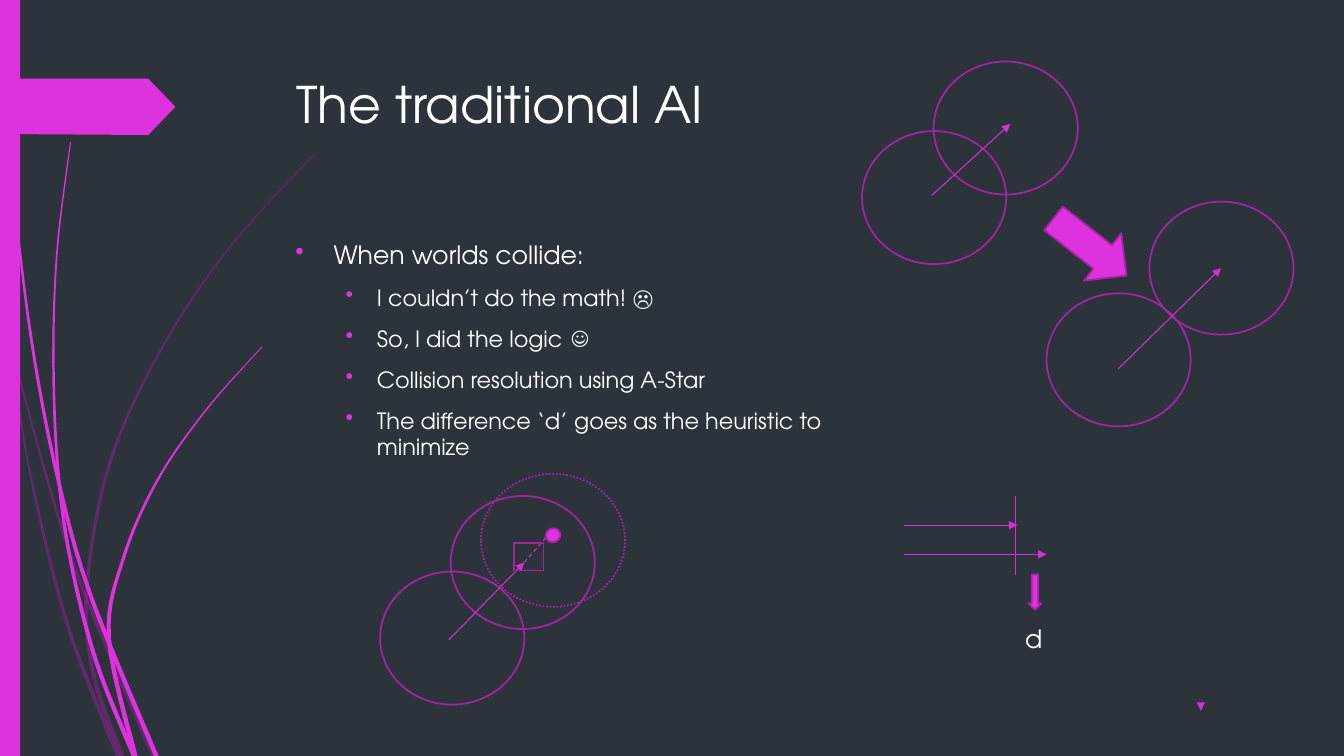
from lxml import etree
from pptx import Presentation
from pptx.dml.color import RGBColor
from pptx.enum.dml import MSO_LINE
from pptx.enum.shapes import MSO_CONNECTOR, MSO_SHAPE
from pptx.oxml.ns import qn
from pptx.util import Inches, Pt

OVAL = MSO_SHAPE.OVAL
RECTANGLE = MSO_SHAPE.RECTANGLE
RIGHT_ARROW = MSO_SHAPE.RIGHT_ARROW
DOWN_ARROW = MSO_SHAPE.DOWN_ARROW
STRAIGHT = MSO_CONNECTOR.STRAIGHT
DOTTED = MSO_LINE.ROUND_DOT
DASHED = MSO_LINE.DASH

SLATE = RGBColor(0x2C, 0x33, 0x3A)
MAGENTA = RGBColor(0xDE, 0x32, 0xDE)
PURPLE = RGBColor(0xB0, 0x1C, 0xB0)
OUTLINE = RGBColor(0xA4, 0x25, 0xA4)
CONNECTOR = RGBColor(0xD4, 0x30, 0xD4)
WHITE = RGBColor(0xFF, 0xFF, 0xFF)
FONT = "TeX Gyre Adventor"
CIRCLE_SIZE = (1.43, 1.32)
CURVE_STEPS = 8

FADED_WISPS = [
    [(0.02, 2.9), (0.23, 3.88), (0.6, 5.2), (0.9, 6.04), (1.52, 7.5)],
    [(0.11, 3.5), (0.3, 4.7), (0.67, 6.2), (1.17, 7.5)],
    [(3.12, 1.53), (2.28, 2.45), (1.59, 3.48), (1.08, 4.62), (0.86, 5.85), (0.93, 6.7), (1.21, 7.5)],
]
BRIGHT_WISPS = [
    [(0.03, 0), (0.07, 1.1), (0.18, 2.33), (0.34, 3.55), (0.58, 4.77), (0.9, 5.91), (1.55, 7.5)],
    [(0.7, 1.41), (0.57, 2.45), (0.53, 3.49), (0.57, 4.6), (0.7, 5.56), (0.96, 6.58), (1.33, 7.5)],
    [(2.6, 3.44), (2.05, 4.06), (1.57, 4.75), (1.23, 5.52), (1.08, 6.32), (1.34, 7.5)],
]
TAG_POINTS = [(0, 0.78), (1.47, 0.78), (1.74, 1.06), (1.47, 1.34), (0, 1.33)]
BULLETS = [(0, "When worlds collide:"), (1, "I couldn’t do the math! ☹"), (1, "So, I did the logic ☺"),
           (1, "Collision resolution using A-Star"),
           (1, "The difference ‘d’ goes as the heuristic to \nminimize")]
LEVELS = [(18, 0.38, -0.38), (16, 0.81, -0.31)]


def smooth_value(before, start, end, after, t):
    """Interpolate smoothly between start and end."""
    return start + t / 2 * (end - before + t * (2 * before - 5 * start + 4 * end - after
                                                + t * (3 * (start - end) + after - before)))


def wisp_points(knots):
    """Return the outline of a ribbon that widens along its knots."""
    padded = [knots[0], *knots, knots[-1]]
    center = [tuple(smooth_value(*values, step / CURVE_STEPS) for values in zip(*padded[first:first + 4]))
              for first in range(len(knots) - 1) for step in range(CURVE_STEPS)]
    center.append(knots[-1])
    half_widths = [0.005 + 0.02 * index / len(center) for index in range(len(center))]
    left_edge = [(x - half, y) for (x, y), half in zip(center, half_widths)]
    right_edge = [(x + half, y) for (x, y), half in zip(center, half_widths)]
    return left_edge + right_edge[::-1]


def add_outline(shapes, left, top, points, color):
    """Add a filled freeform through points relative to left and top."""
    places = [(Inches(left + x), Inches(top + y)) for x, y in points]
    builder = shapes.build_freeform(*places[0], scale=1.0)
    builder.add_line_segments(places[1:], close=True)
    shape = builder.convert_to_shape()
    shape.shadow.inherit = False
    shape.fill.solid()
    shape.fill.fore_color.rgb = color
    shape.line.fill.background()
    return shape


def add_wisps(slide, left, top, wisps, color, opacity=100):
    """Group a set of curved wisps."""
    group = slide.shapes.add_group_shape()
    for knots in wisps:
        shape = add_outline(group.shapes, left, top, wisp_points(knots), color)
        fill_color = shape._element.spPr.find(qn("a:solidFill"))[0]
        etree.SubElement(fill_color, qn("a:alpha")).set("val", str(opacity * 1000))


def add_figure(slide, kind, left, top, size, fill=None, line=OUTLINE, dash=None, rotation=0):
    """Add a preset shape with an optional fill and outline."""
    shape = slide.shapes.add_shape(kind, *map(Inches, (left, top, *size)))
    shape.shadow.inherit = False
    shape.rotation = rotation
    if fill is None:
        shape.fill.background()
    else:
        shape.fill.solid()
        shape.fill.fore_color.rgb = fill
    if line is None:
        shape.line.fill.background()
    else:
        shape.line.color.rgb = line
        shape.line.width = Pt(1.25)
        shape.line.dash_style = dash


def add_line(slide, left, top, begin, end, arrow=True, dash=None):
    """Draw a thin line between two points relative to left and top."""
    connector = slide.shapes.add_connector(STRAIGHT, Inches(left + begin[0]), Inches(top + begin[1]),
                                           Inches(left + end[0]), Inches(top + end[1]))
    connector.line.color.rgb = CONNECTOR
    connector.line.width = Pt(0.75)
    connector.line.dash_style = dash
    properties = connector._element.spPr
    if arrow:
        etree.SubElement(properties.find(qn("a:ln")), qn("a:tailEnd")).set("type", "triangle")
    etree.SubElement(properties, qn("a:effectLst"))


def add_text(slide, left, top, width, height, lines, levels, bulleted=False):
    """Add a text box of leveled lines, bulleted if asked."""
    frame = slide.shapes.add_textbox(*map(Inches, (left, top, width, height))).text_frame
    frame.word_wrap = True
    for index, (level, text) in enumerate(lines):
        paragraph = frame.add_paragraph() if index else frame.paragraphs[0]
        size, margin, indent = levels[level]
        if bulleted:
            paragraph.level = level
            paragraph.space_before = Pt(10)
            properties = paragraph._p.get_or_add_pPr()
            properties.set("marL", str(Inches(margin)))
            properties.set("indent", str(Inches(indent)))
            bullet_color = etree.SubElement(properties, qn("a:buClr"))
            etree.SubElement(bullet_color, qn("a:srgbClr")).set("val", str(MAGENTA))
            etree.SubElement(properties, qn("a:buChar")).set("char", "•")
        for part_index, part in enumerate(text.split("\n")):
            if part_index:
                paragraph.add_line_break()
            run = paragraph.add_run()
            run.text = part
            run.font.name = FONT
            run.font.size = Pt(size)
            run.font.color.rgb = WHITE


def add_side_decoration(slide, left, top):
    """Draw the wisps, the side bar and the page tag."""
    add_wisps(slide, left, top, FADED_WISPS, PURPLE, 40)
    add_wisps(slide, left, top, BRIGHT_WISPS, MAGENTA)
    add_figure(slide, RECTANGLE, left, top, (0.2, 7.5), MAGENTA, None)
    add_outline(slide.shapes, left, top, TAG_POINTS, MAGENTA)


def add_collision(slide, left, top, lower_drop, upper_shift, begin, end):
    """Draw two circles and the arrow between their centres."""
    add_figure(slide, OVAL, left, top + lower_drop, CIRCLE_SIZE)
    add_figure(slide, OVAL, left + upper_shift, top, CIRCLE_SIZE)
    add_line(slide, left, top, begin, end)


def add_search_step(slide, left, top):
    """Draw a collision with its next candidate position."""
    add_collision(slide, left, top, 0.75, 0.7, (0.68, 1.43), (1.43, 0.66))
    add_figure(slide, OVAL, left + 1, top - 0.22, CIRCLE_SIZE, dash=DOTTED)
    add_figure(slide, OVAL, left + 1.64, top + 0.32, (0.15, 0.14), MAGENTA, rotation=339.5)
    add_line(slide, left, top, (1.43, 0.66), (1.64, 0.42), arrow=False, dash=DASHED)
    add_figure(slide, RECTANGLE, left + 1.33, top + 0.47, (0.29, 0.27))


def add_difference(slide, left, top):
    """Draw the two lengths and label their difference."""
    add_line(slide, left, top, (0, 0.29), (1.12, 0.29))
    add_line(slide, left, top, (0, 0.58), (1.41, 0.58))
    add_line(slide, left, top, (1.1, 0), (1.1, 0.78), arrow=False)
    add_figure(slide, DOWN_ARROW, left + 1.23, top + 0.78, (0.13, 0.35), MAGENTA)
    add_text(slide, left + 1.1, top + 1.21, 0.79, 0.4, [(0, "d")], LEVELS)


def main():
    """Build and save the slide."""
    presentation = Presentation()
    presentation.slide_width, presentation.slide_height = Inches(13.33), Inches(7.5)
    slide = presentation.slides.add_slide(presentation.slide_layouts[6])
    slide.background.fill.solid()
    slide.background.fill.fore_color.rgb = SLATE
    add_side_decoration(slide, 0, 0)
    add_text(slide, 2.84, 0.68, 9.75, 1.4, [(0, "The traditional AI")], [(36, 0, 0)])
    add_text(slide, 2.83, 2.33, 9.75, 4.13, BULLETS, LEVELS, bulleted=True)
    add_collision(slide, 8.55, 0.61, 0.69, 0.71, (0.69, 1.33), (1.47, 0.62))
    add_figure(slide, RIGHT_ARROW, 10.35, 2.15, (0.92, 0.6), MAGENTA, rotation=38.1)
    add_collision(slide, 10.38, 2, 0.91, 1.02, (0.71, 1.66), (1.73, 0.66))
    add_difference(slide, 8.97, 4.92)
    add_search_step(slide, 3.77, 4.92)
    add_line(slide, 11.91, 6.99, (0, 0), (0, 0.06))
    presentation.save("out.pptx")


if __name__ == "__main__":
    main()
